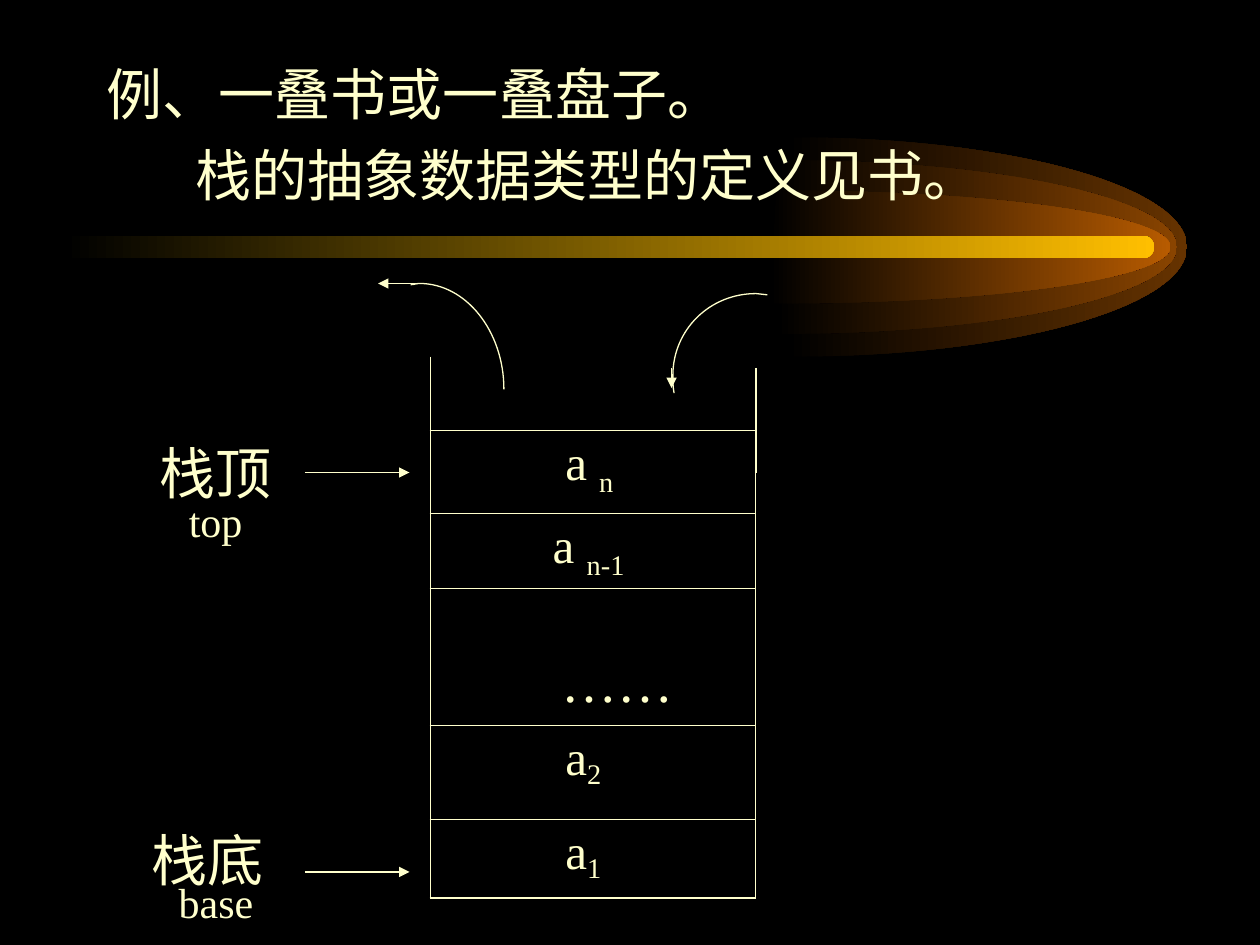
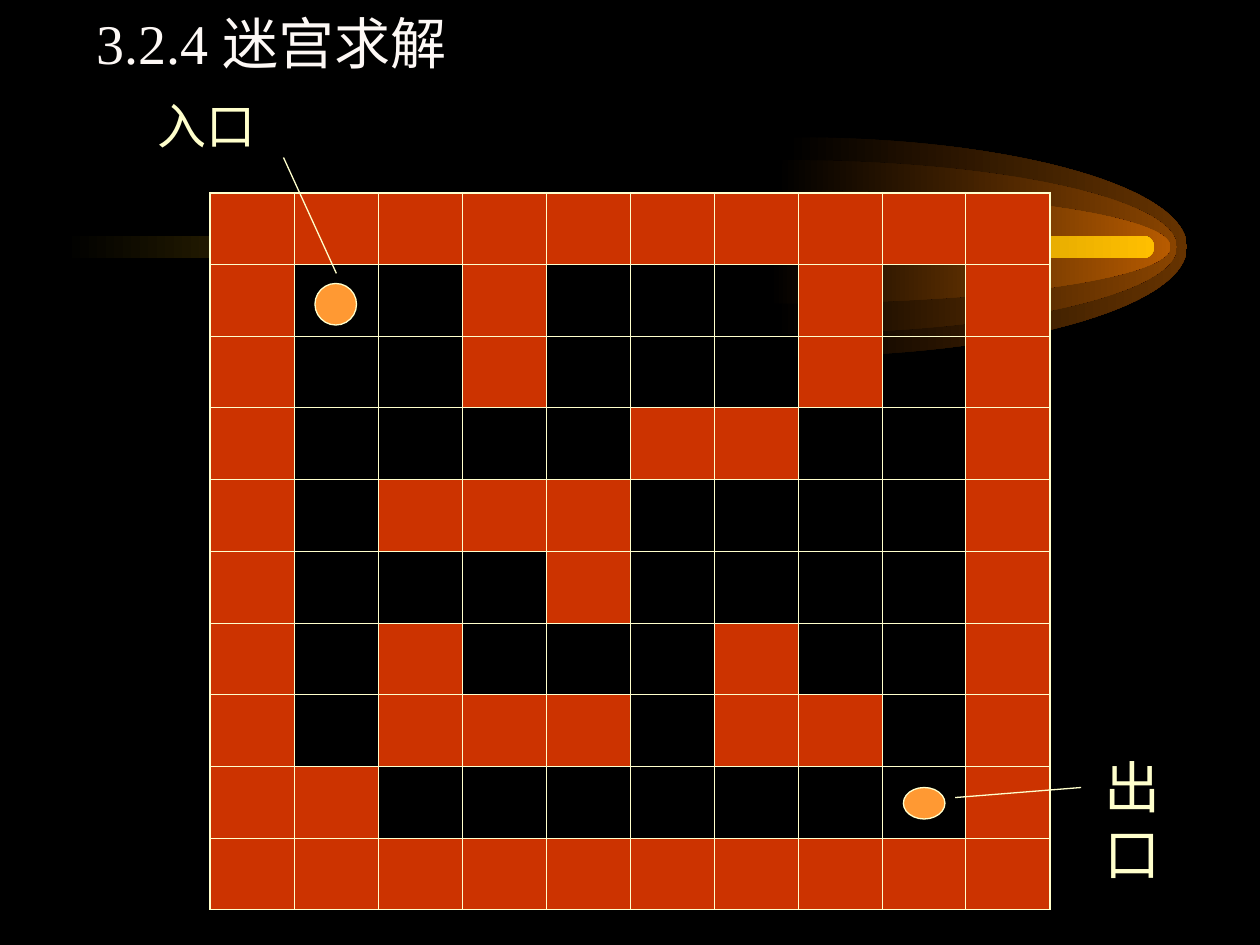
import lxml.etree
import pptx
import pptx.dml.color
import pptx.enum.shapes
import pptx.oxml.ns
import pptx.util

WIDTH, HEIGHT = 10, 7.5
FONT = "Times New Roman"
COLORS = {
    "black": "000000", "cream": "FFFFCC", "title": "FDF8F5", "wall": "CC3300",
    "marker": "FF9933", "bar": "FFBF00",
    "outer glow": "663300", "middle glow": "894400", "inner glow": "B75B00",
}
THIN, THICK = 0.45, 1.08  # table rules inside and around

# Band: glow layers as (left, centre x, vertical radius, colour)
BAND_Y, GLOW_RADIUS = 1.96, 3.13
GLOWS = [
    (6.24, 6.29, 0.87, "outer glow"),
    (6.16, 6.21, 0.69, "middle glow"),
    (6.11, 6.16, 0.45, "inner glow"),
]
ROUNDNESS = 0.55  # control point distance of a quarter ellipse, as a share of its radius
BAR = (0.5, 1.87, 8.66, 0.18)

# Paragraphs are (left indent, space before, runs); runs are (text, size, colour, baseline)
INTRO = [
    (0, 0, [("例、一叠书或一叠盘子。", 32, "cream", 0)]),
    (0.7, 8, [("栈的抽象数据类型的定义见书。", 32, "cream", 0)]),
]
MAZE_TITLE = [
    (0, 0, [("3.2.4 迷宫求解", 32, "title", 0)]),
    (0.48, 11, [("入口", 28, "cream", 0)]),
]

# Stack rows: (height, indent, element, subscript, subscript baseline)
STACK_LEFT = STACK_TOP = 41 / 12
STACK_WIDTH = 2.58
STACK = [
    (0.66, 0.97, "a ", "n", -25),
    (0.59, 0.87, "a ", "n-1", -25),
    (1.09, 0, "", "", 0),
    (0.75, 0.97, "a", "2", -18),
    (0.62, 0.97, "a", "1", -18),
]
# (text, size, position)
STACK_LABELS = [
    ("……", 32, (4.36, 5.08, 1.14, 0.64)),
    ("栈顶", 32, (1.17, 3.43, 1.12, 0.64)),
    ("栈底", 32, (1.1, 6.5, 1.15, 0.64)),
    ("top", 24, (1.4, 3.88, 0.75, 0.5)),
    ("base", 24, (1.32, 6.91, 0.9, 0.5)),
]
# (start, end, width)
STACK_WALLS = [
    ((STACK_LEFT, 2.83), (STACK_LEFT, 3.75), 0.75),
    ((STACK_LEFT, 2.92), (STACK_LEFT, 3.25), 0.75),
    ((6, 2.92), (6, 3.75), 1.5),
]
STACK_ARROWS = [
    ((3.33, 2.25), (3, 2.25)),
    ((5.33, 2.92), (5.33, 3.08)),
    ((2.42, 6.92), (3.25, 6.92)),
    ((2.42, 3.75), (3.25, 3.75)),
]
# Start point, then two control points and an end point for each piece
POP_CURVE = [(3.26, 2.26), (3.28, 2.26), (3.31, 2.25), (3.33, 2.25),
             (3.7, 2.25), (4, 2.63), (4, 3.09)]
PUSH_CURVE = [(6.09, 2.34), (6.06, 2.34), (6.03, 2.33), (6, 2.33),
              (5.63, 2.33), (5.34, 2.62), (5.34, 2.98),
              (5.34, 3.03), (5.34, 3.07), (5.35, 3.12)]

MAZE = [
    "##########",
    "#..#...#.#",
    "#..#...#.#",
    "#....##..#",
    "#.###....#",
    "#...#....#",
    "#.#...#..#",
    "#.###.##.#",
    "##.......#",
    "##########",
]
MAZE_PLACE = (WIDTH / 6, 1.53, WIDTH * 2 / 3, 5.69)
ENTRANCE = (2.5, 2.25, 0.33, 0.33)
EXIT = (7.17, 6.25, 0.33, 0.25)
MAZE_POINTERS = [((2.67, 2.17), (2.25, 1.25)), ((7.58, 6.33), (8.58, 6.25))]

inches = pptx.util.Inches


def color(name):
    return pptx.dml.color.RGBColor.from_string(COLORS[name])


def place(lengths):
    return [inches(length) for length in lengths]


def child(parent, tag, **attributes):
    element = lxml.etree.SubElement(parent, pptx.oxml.ns.qn(tag))
    for key, value in attributes.items():
        element.set(key, str(value))
    return element


def write(frame, paragraphs):
    for index, (indent, before, runs) in enumerate(paragraphs):
        para = frame.paragraphs[0] if index == 0 else frame.add_paragraph()
        para.space_before = pptx.util.Pt(before)
        if indent:
            para._p.get_or_add_pPr().set("marL", str(inches(indent)))
        for text, size, ink, baseline in runs:
            span = para.add_run()
            span.text = text
            span.font.name = FONT
            span.font.size = pptx.util.Pt(size)
            span.font.color.rgb = color(ink)
            if baseline:
                span._r.get_or_add_rPr().set("baseline", str(baseline * 1000))


def add_text(page, position, paragraphs):
    box = page.shapes.add_textbox(*place(position))
    box.text_frame.word_wrap = True
    write(box.text_frame, paragraphs)


def add_label(page, text, size, position):
    add_text(page, position, [(0, 0, [(text, size, "cream", 0)])])


def outline(line, width=0.75):
    line.color.rgb = color("cream")
    line.width = pptx.util.Pt(width)


def add_line(page, start, end, width=0.75, arrow=False):
    line = page.shapes.add_connector(
        pptx.enum.shapes.MSO_CONNECTOR.STRAIGHT, *place(start + end))
    outline(line.line, width)
    if arrow:
        child(line.line._get_or_add_ln(), "a:tailEnd", type="triangle")
    child(line._element.spPr, "a:effectLst")


def add_curve(page, points, closed=False):
    """Draw Bezier pieces: a start point, then three points for each piece."""
    corners = [place(point) for point in points]
    builder = page.shapes.build_freeform(*corners[0])
    builder.add_line_segments(corners[1:], close=closed)
    curve = builder.convert_to_shape()
    curve.shadow.inherit = False
    segments = list(curve._element.iter(pptx.oxml.ns.qn("a:lnTo")))
    for first in range(0, len(segments), 3):
        bezier = lxml.etree.Element(pptx.oxml.ns.qn("a:cubicBezTo"))
        segments[first].addprevious(bezier)
        for segment in segments[first:first + 3]:
            bezier.append(segment[0])
            segment.getparent().remove(segment)
    return curve


def fade_from_black(shape, end_color):
    shape.fill.gradient()
    shape.fill.gradient_angle = 0
    for stop, name, position in zip(shape.fill.gradient_stops, ("black", end_color), (0, 1)):
        stop.color.rgb = color(name)
        stop.position = position
    shape.line.fill.background()


def add_glow(page, left, x, radius, glow):
    """Add a right half ellipse with a short straight lead-in at its left."""
    top, bottom, right = BAND_Y - radius, BAND_Y + radius, x + GLOW_RADIUS
    reach, rise = x + GLOW_RADIUS * ROUNDNESS, radius * ROUNDNESS
    points = [(x, top), (reach, top), (right, BAND_Y - rise), (right, BAND_Y),
              (right, BAND_Y + rise), (reach, bottom), (x, bottom),
              (x, bottom), (left, bottom), (left, bottom)]
    fade_from_black(add_curve(page, points, closed=True), glow)


def add_page(deck):
    """Add a black page with the glowing band."""
    page = deck.slides.add_slide(deck.slide_layouts[6])
    page.background.fill.solid()
    page.background.fill.fore_color.rgb = color("black")
    for glow in GLOWS:
        add_glow(page, *glow)
    bar = page.shapes.add_shape(pptx.enum.shapes.MSO_SHAPE.ROUNDED_RECTANGLE, *place(BAR))
    bar.adjustments[0] = 0.5
    bar.shadow.inherit = False
    fade_from_black(bar, "bar")
    return page


def add_grid(page, position, heights, columns, fill_of):
    """Add a ruled table with a thicker frame; fill_of(row, column) gives a colour or None."""
    rows = len(heights)
    table = page.shapes.add_table(rows, columns, *place(position)).table
    table.first_row = table.horz_banding = False
    for column in table.columns:
        column.width = inches(position[2] / columns)
    for r, height in enumerate(heights):
        table.rows[r].height = inches(height)
        for c in range(columns):
            cell = table.cell(r, c)
            cell.margin_bottom = 0
            outer = {"L": c == 0, "R": c == columns - 1, "T": r == 0, "B": r == rows - 1}
            for side, on_frame in outer.items():
                width = pptx.util.Pt(THICK if on_frame else THIN)
                rule = child(cell._tc.get_or_add_tcPr(), "a:ln" + side, w=width)
                child(child(rule, "a:solidFill"), "a:srgbClr", val=COLORS["cream"])
            fill = fill_of(r, c)
            if fill:
                cell.fill.solid()
                cell.fill.fore_color.rgb = color(fill)
            else:
                cell.fill.background()
    return table


def add_marker(page, kind, position):
    marker = page.shapes.add_shape(kind, *place(position))
    marker.shadow.inherit = False
    marker.fill.solid()
    marker.fill.fore_color.rgb = color("marker")
    outline(marker.line)


def build_stack_page(deck):
    page = add_page(deck)
    add_text(page, (0.75, 0.42, 8.75, 7.08), INTRO)
    heights = [row[0] for row in STACK]
    table = add_grid(page, (STACK_LEFT, STACK_TOP, STACK_WIDTH, sum(heights)), heights, 1,
                     lambda row, column: None)
    for r, (_, indent, element, subscript, baseline) in enumerate(STACK):
        if element:
            runs = [(element, 28, "cream", 0), (subscript, 28, "cream", baseline)]
            write(table.cell(r, 0).text_frame, [(indent, 0, runs)])
    for start, end, width in STACK_WALLS:
        add_line(page, start, end, width)
    for points in (POP_CURVE, PUSH_CURVE):
        curve = add_curve(page, points)
        curve.fill.background()
        outline(curve.line)
    for start, end in STACK_ARROWS:
        add_line(page, start, end, arrow=True)
    for label in STACK_LABELS:
        add_label(page, *label)


def build_maze_page(deck):
    page = add_page(deck)
    add_text(page, (0.67, 0.02, 8.92, 7.45), MAZE_TITLE)
    heights = [MAZE_PLACE[3] / len(MAZE)] * len(MAZE)
    add_grid(page, MAZE_PLACE, heights, len(MAZE[0]),
             lambda row, column: "wall" if MAZE[row][column] == "#" else None)
    add_marker(page, pptx.enum.shapes.MSO_SHAPE.FLOWCHART_CONNECTOR, ENTRANCE)
    add_marker(page, pptx.enum.shapes.MSO_SHAPE.OVAL, EXIT)
    for start, end in MAZE_POINTERS:
        add_line(page, start, end)
    add_label(page, "出口", 32, (8.67, 5.92, 0.67, 1.17))


def main():
    deck = pptx.Presentation()
    deck.slide_width, deck.slide_height = inches(WIDTH), inches(HEIGHT)
    build_stack_page(deck)
    build_maze_page(deck)
    deck.save("out.pptx")


if __name__ == "__main__":
    main()
